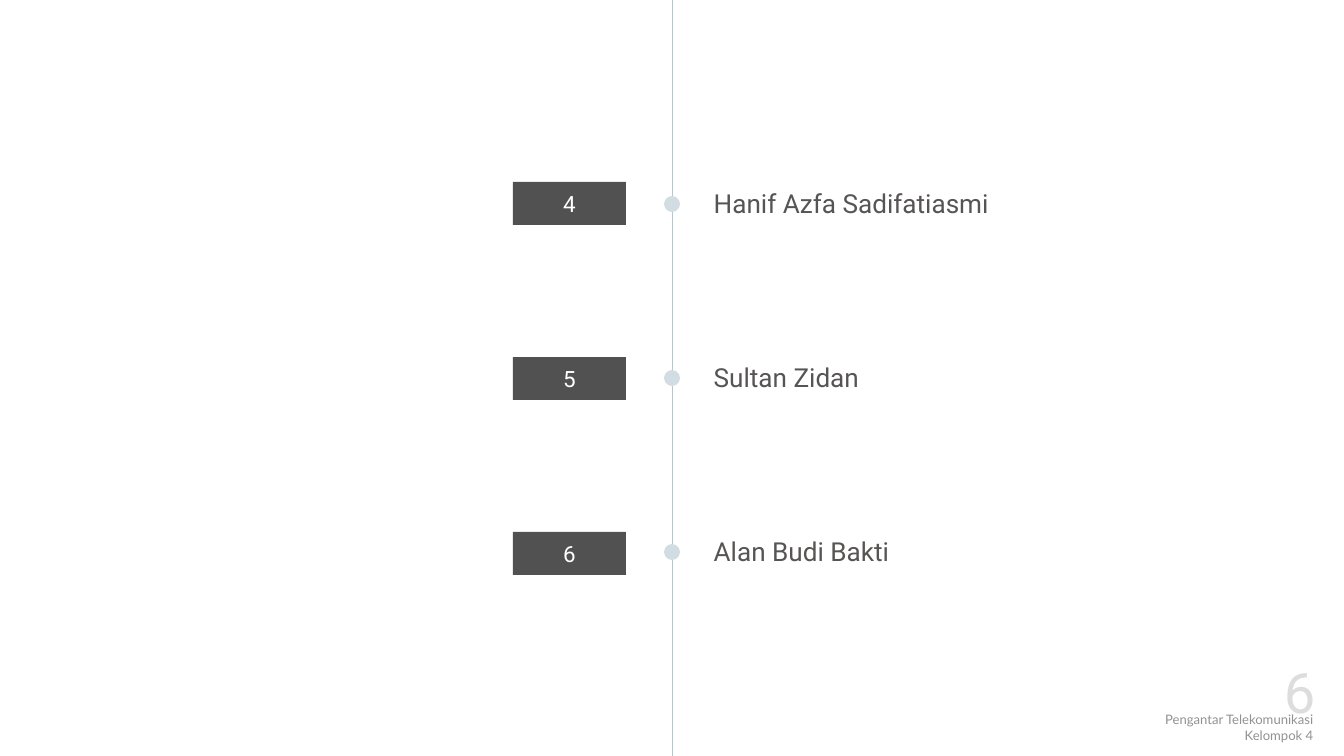
import dataclasses
import typing

import lxml.etree
import pptx
import pptx.dml.color
import pptx.enum.shapes
import pptx.enum.text
import pptx.oxml.ns
import pptx.util

WIDE, HIGH = 1344, 756
SCALE = pptx.util.Inches(20) / WIDE
HUES = {
    "dot": "D1DDE2",
    "line": "B2C7CE",
    "badge": "515151",
    "digit": "FFFFFF",
    "name": "575454",
    "foot": "929292",
    "page": "DEDDDD",
}
ALIGN = pptx.enum.text.PP_ALIGN
ANCHOR = pptx.enum.text.MSO_ANCHOR
KIND = pptx.enum.shapes.MSO_SHAPE

MID = WIDE // 2
DOT = 16
DOT_TOP, DOT_STEP = 196, 174
BADGE_TOP, BADGE_STEP = 182, 175
NAME_TOP, NAME_STEP = 179, 174


@dataclasses.dataclass(frozen=True)
class Box:
    left: int
    top: int
    width: int
    height: int


@dataclasses.dataclass(frozen=True)
class Style:
    hue: str
    size: int
    align: typing.Any
    anchor: typing.Any
    face: str = "Roboto"


@dataclasses.dataclass(frozen=True)
class Member:
    digit: str
    name: str


BADGE = Style("digit", 24, ALIGN.CENTER, ANCHOR.MIDDLE)
NAME = Style("name", 28, ALIGN.LEFT, ANCHOR.BOTTOM)
FOOT = Style("foot", 14, ALIGN.RIGHT, ANCHOR.MIDDLE, "Lato")
PAGE = Style("page", 60, ALIGN.RIGHT, ANCHOR.BOTTOM)

TEAM = [
    Member("4", "Hanif Azfa Sadifatiasmi"),
    Member("5", "Sultan Zidan"),
    Member("6", "Alan Budi Bakti"),
]


def emu(px: int) -> int:
    return round(px * SCALE)


def tint(hue: str) -> pptx.dml.color.RGBColor:
    return pptx.dml.color.RGBColor.from_string(HUES[hue])


def apply(item: typing.Any, form: dict[str, typing.Any]) -> None:
    for key, val in form.items():
        setattr(item, key, val)


def place(shape: typing.Any, box: Box) -> None:
    apply(shape, {key: emu(val) for key, val in dataclasses.asdict(box).items()})


def write(shape: typing.Any, lines: list[str], style: Style) -> None:
    frame = shape.text_frame
    apply(frame, {
        "text": "\n".join(lines),
        "word_wrap": True,
        "auto_size": pptx.enum.text.MSO_AUTO_SIZE.NONE,
        "vertical_anchor": style.anchor,
    })
    for para in frame.paragraphs:
        apply(para, {"alignment": style.align, "space_before": pptx.util.Pt(0)})
        font = para.runs[0].font
        apply(font, {
            "name": style.face,
            "size": pptx.util.Pt(style.size),
            "bold": False,
        })
        font.color.rgb = tint(style.hue)


def unlist(shape: typing.Any) -> None:
    for para in shape.text_frame.paragraphs:
        props = para._p.get_or_add_pPr()
        props.set("marL", "0")
        props.set("indent", "0")
        lxml.etree.SubElement(props, pptx.oxml.ns.qn("a:buNone"))


def block(slide: typing.Any, kind: typing.Any, box: Box, hue: str) -> typing.Any:
    shape = slide.shapes.add_shape(kind, 0, 0, 0, 0)
    place(shape, box)
    shape.shadow.inherit = False
    shape.fill.solid()
    shape.fill.fore_color.rgb = tint(hue)
    shape.line.fill.background()
    return shape


def rule(slide: typing.Any, start: int, end: int) -> None:
    line = slide.shapes.add_connector(
        pptx.enum.shapes.MSO_CONNECTOR.STRAIGHT,
        emu(MID), emu(start), emu(MID), emu(end),
    )
    line.line.width = pptx.util.Pt(1)
    line.line.color.rgb = tint("line")
    lxml.etree.SubElement(line._element.spPr, pptx.oxml.ns.qn("a:effectLst"))


def label(slide: typing.Any, box: Box, lines: list[str], style: Style) -> None:
    shape = slide.shapes.add_textbox(0, 0, 0, 0)
    place(shape, box)
    write(shape, lines, style)


def main() -> None:
    deck = pptx.Presentation()
    apply(deck, {"slide_width": emu(WIDE), "slide_height": emu(HIGH)})
    slide = deck.slides.add_slide(deck.slide_layouts.get_by_name("Comparison"))
    title, *slots = slide.placeholders
    for spare in [title, *slots[len(TEAM):]]:
        spare._element.getparent().remove(spare._element)

    start = 0
    for row, (slot, member) in enumerate(zip(slots, TEAM)):
        top = DOT_TOP + row * DOT_STEP
        rule(slide, start, top)
        start = top + DOT
        block(slide, KIND.OVAL, Box(MID - DOT // 2, top, DOT, DOT), "dot")

        place(slot, Box(707, NAME_TOP + row * NAME_STEP, 415, 43))
        write(slot, [member.name], NAME)
        unlist(slot)

        spot = Box(513, BADGE_TOP + row * BADGE_STEP, 113, 43)
        badge = block(slide, KIND.RECTANGLE, spot, "badge")
        write(badge, [member.digit], BADGE)
    rule(slide, start, HIGH)

    label(slide, Box(821, 707, 499, 40), ["Pengantar Telekomunikasi", "Kelompok 4"], FOOT)
    label(slide, Box(1122, 653, 200, 75), ["6"], PAGE)
    deck.save("out.pptx")


if __name__ == "__main__":
    main()
